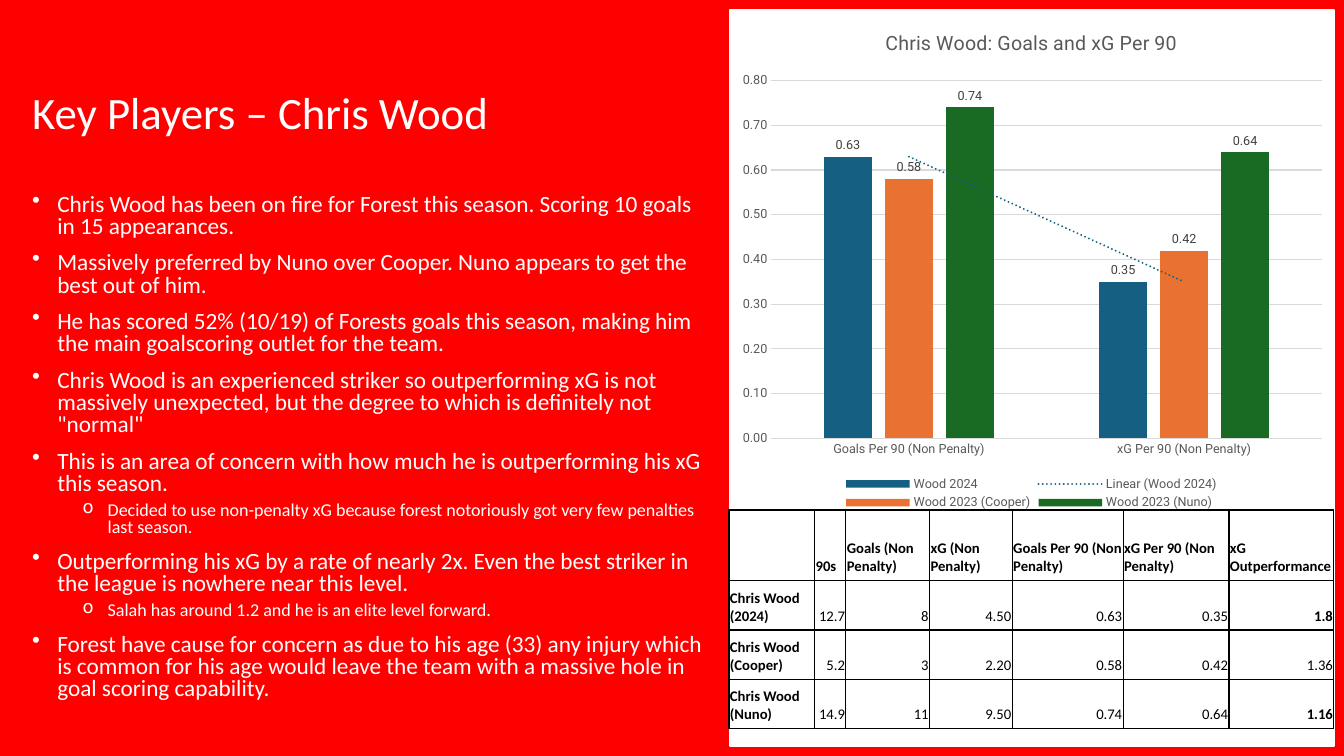
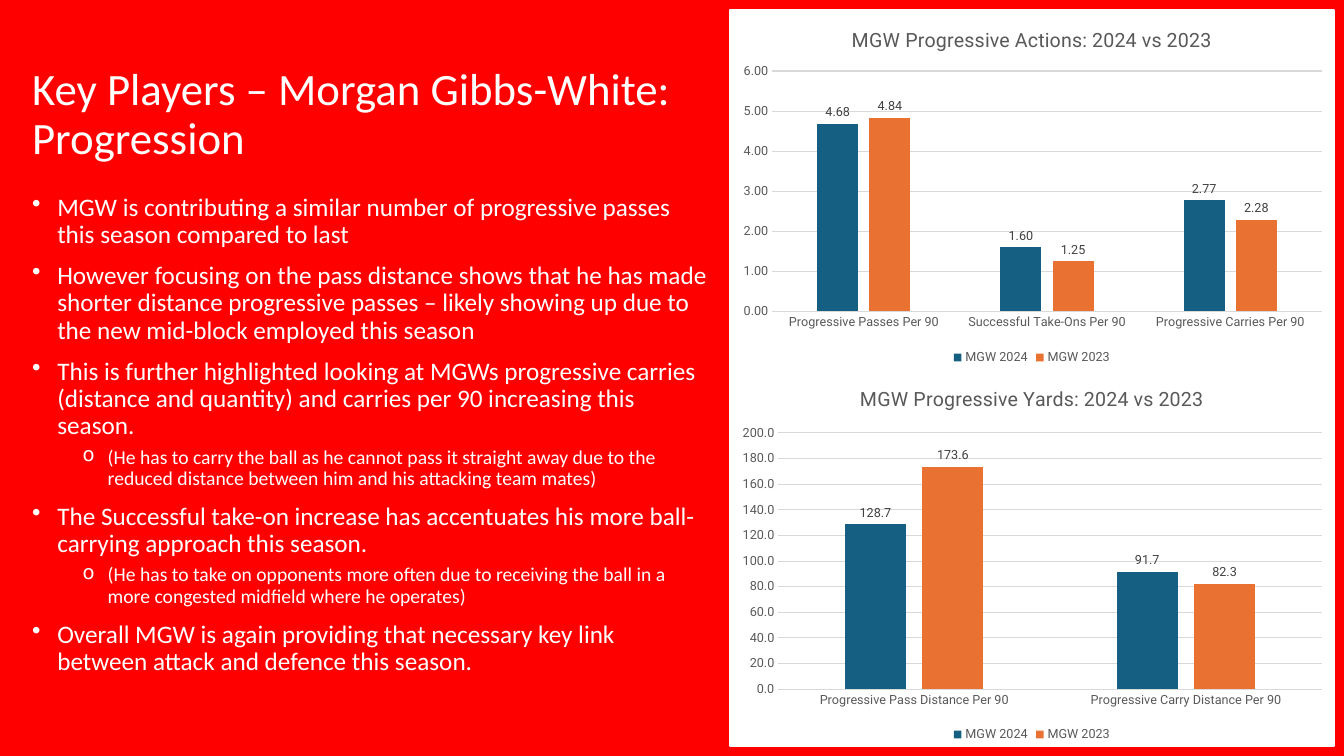
from lxml.etree import SubElement
from pptx import Presentation
from pptx.chart.data import CategoryChartData
from pptx.dml.color import RGBColor
from pptx.enum.chart import (XL_CHART_TYPE, XL_LABEL_POSITION,
                             XL_LEGEND_POSITION, XL_TICK_MARK)
from pptx.enum.shapes import MSO_SHAPE
from pptx.enum.text import MSO_ANCHOR, PP_ALIGN
from pptx.oxml import parse_xml
from pptx.oxml.ns import nsdecls, qn
from pptx.util import Emu, Pt

PX = 9144
RED = RGBColor(0xFF, 0x00, 0x00)
WHITE = RGBColor(0xFF, 0xFF, 0xFF)
BLACK = RGBColor(0x00, 0x00, 0x00)
BLUE = RGBColor(0x15, 0x60, 0x82)
ORANGE = RGBColor(0xE9, 0x71, 0x32)
GREEN = RGBColor(0x19, 0x6B, 0x24)
AXIS_GRAY = RGBColor(0x59, 0x59, 0x59)
LABEL_GRAY = RGBColor(0x40, 0x40, 0x40)
GRID_GRAY = RGBColor(0xD9, 0xD9, 0xD9)
SERIES_COLORS = (BLUE, ORANGE, GREEN)
BODY_FONT = "Calibri"
CHART_FONT = "Roboto"

WOOD_POINTS = [
    (0, "Chris Wood has been on fire for Forest this season. Scoring 10 goals in 15 appearances."),
    (0, "Massively preferred by Nuno over Cooper. Nuno appears to get the best out of him."),
    (0, "He has scored 52% (10/19) of Forests goals this season, making him the main goalscoring "
        "outlet for the team."),
    (0, "Chris Wood is an experienced striker so outperforming xG is not massively unexpected, "
        "but the degree to which is definitely not \"normal\""),
    (0, "This is an area of concern with how much he is outperforming his xG this season."),
    (1, "Decided to use non-penalty xG because forest notoriously got very few penalties last season."),
    (0, "Outperforming his xG by a rate of nearly 2x. Even the best striker in the league is "
        "nowhere near this level."),
    (1, "Salah has around 1.2 and he is an elite level forward."),
    (0, "Forest have cause for concern as due to his age (33) any injury which is common for his "
        "age would leave the team with a massive hole in goal scoring capability."),
]
MGW_POINTS = [
    (0, "MGW is contributing a similar number of progressive passes this season compared to last"),
    (0, "However focusing on the pass distance shows that he has made shorter distance progressive "
        "passes – likely showing up due to the new mid-block employed this season"),
    (0, "This is further highlighted looking at MGWs progressive carries (distance and quantity) "
        "and carries per 90 increasing this season."),
    (1, "(He has to carry the ball as he cannot pass it straight away due to the reduced distance "
        "between him and his attacking team mates)"),
    (0, "The Successful take-on increase has accentuates his more ball-carrying approach this season."),
    (1, "(He has to take on opponents more often due to receiving the ball in a more congested "
        "midfield where he operates)"),
    (0, "Overall MGW is again providing that necessary key link between attack and defence this season."),
]
WOOD_COLUMNS = (85, 31, 83, 82, 110, 105, 104)
WOOD_ROWS = (70, 49, 49, 49)
WOOD_STATS = [
    ("", "90s", "Goals (Non Penalty)", "xG (Non Penalty)", "Goals Per 90 (Non Penalty)",
     "xG Per 90 (Non Penalty)", "xG Outperformance"),
    ("Chris Wood (2024)", "12.7", "8", "4.50", "0.63", "0.35", "1.8"),
    ("Chris Wood (Cooper)", "5.2", "3", "2.20", "0.58", "0.42", "1.36"),
    ("Chris Wood (Nuno)", "14.9", "11", "9.50", "0.74", "0.64", "1.16"),
]
BOLD_RATIOS = ("1.8", "1.16")


def px(*lengths):
    """Turn pixel lengths into EMU."""
    return [Emu(length * PX) for length in lengths]


def style_font(font, size, color, face=BODY_FONT, bold=False):
    """Set the size, colour, face and weight of a font."""
    font.size, font.name, font.bold = Pt(size), face, bold
    font.color.rgb = color


def write(frame, text, size, color=WHITE, bold=False, align=PP_ALIGN.LEFT,
          spacing=None, before=0, bullet=None, level=0):
    """Add one formatted paragraph to a text frame."""
    first = frame.paragraphs[0]
    is_first = not first.runs
    paragraph = first if is_first else frame.add_paragraph()
    paragraph.alignment, paragraph.level = align, level
    if spacing:
        paragraph.line_spacing = spacing
    paragraph.space_before = Pt(0 if is_first else before)
    if bullet:
        properties = paragraph._p.get_or_add_pPr()
        margin, hanging = px(25 + 50 * level, -25)
        properties.set("marL", str(margin))
        properties.set("indent", str(hanging))
        SubElement(properties, qn("a:buChar")).set("char", bullet)
    run = paragraph.add_run()
    run.text = text
    style_font(run.font, size, color, bold=bold)


def add_text_box(slide, box, anchor=MSO_ANCHOR.TOP):
    """Add a wrapping text box and return its frame."""
    frame = slide.shapes.add_textbox(*px(*box)).text_frame
    frame.word_wrap = True
    frame.vertical_anchor = anchor
    return frame


def add_player_slide(deck, title_lines, title_width, points, sizes, spacing):
    """Add a red slide with its title, bullets and white panel."""
    slide = deck.slides.add_slide(deck.slide_layouts[6])
    slide.background.fill.solid()
    slide.background.fill.fore_color.rgb = RED
    panel = slide.shapes.add_shape(MSO_SHAPE.RECTANGLE, *px(724, 10, 599, 730))
    panel.shadow.inherit = False
    panel.fill.solid()
    panel.fill.fore_color.rgb = WHITE
    panel.line.color.rgb = WHITE
    panel.line.width = Pt(1.5)
    title = add_text_box(slide, (22, 42, title_width, 145), MSO_ANCHOR.MIDDLE)
    for line in title_lines:
        write(title, line, 32, spacing=0.9)
    body = add_text_box(slide, (22, 188, 692, 546))
    for level, point in points:
        write(body, point, sizes[level], spacing=spacing, before=(10, 5)[level],
              bullet="•o"[level], level=level)
    return slide


def place_plot(chart, plot_box):
    """Fix the inner plot area by fractions of the chart."""
    parts = "".join(f'<c:{name} val="{value}"/>' for name, value in zip("xywh", plot_box))
    layout = parse_xml(
        f'<c:layout {nsdecls("c")}><c:manualLayout><c:layoutTarget val="inner"/>'
        f'<c:xMode val="edge"/><c:yMode val="edge"/>{parts}</c:manualLayout></c:layout>')
    plot_area = chart._chartSpace.find(".//" + qn("c:plotArea"))
    for automatic in plot_area.findall(qn("c:layout")):
        plot_area.remove(automatic)
    plot_area.insert(0, layout)


def add_trend(series, color):
    """Add a dotted linear trend line to a series."""
    trend = parse_xml(
        f'<c:trendline {nsdecls("c", "a")}><c:spPr><a:ln w="{Pt(1.5)}" cap="rnd"><a:solidFill>'
        f'<a:srgbClr val="{color}"/></a:solidFill><a:prstDash val="sysDot"/></a:ln></c:spPr>'
        '<c:trendlineType val="linear"/><c:dispRSqr val="0"/><c:dispEq val="0"/></c:trendline>')
    series._element.find(qn("c:cat")).addprevious(trend)


def style_axes(chart, number_format, top, step):
    """Format both axes, the scale and the gridlines."""
    for axis in (chart.category_axis, chart.value_axis):
        axis.major_tick_mark = axis.minor_tick_mark = XL_TICK_MARK.NONE
        style_font(axis.tick_labels.font, 9, AXIS_GRAY, CHART_FONT)
    lines = (chart.category_axis.format.line, chart.value_axis.major_gridlines.format.line)
    for line in lines:
        line.color.rgb = GRID_GRAY
        line.width = Pt(0.75)
    scale = chart.value_axis
    scale.format.line.fill.background()
    scale.minimum_scale, scale.maximum_scale, scale.major_unit = 0, top, step
    scale.tick_labels.number_format = number_format
    scale.tick_labels.number_format_is_linked = False


def add_column_chart(slide, box, title, categories, values, number_format, scale, plot_box):
    """Add a labelled clustered column chart and return it."""
    data = CategoryChartData(number_format=number_format)
    data.categories = categories
    for name, numbers in values.items():
        data.add_series(name, numbers)
    chart = slide.shapes.add_chart(XL_CHART_TYPE.COLUMN_CLUSTERED, *px(*box), data).chart
    style_font(chart.font, 10, BLACK, CHART_FONT)
    heading = chart.chart_title.text_frame
    heading.text = title
    style_font(heading.paragraphs[0].runs[0].font, 14, AXIS_GRAY, CHART_FONT)
    chart.has_legend = True
    chart.legend.position = XL_LEGEND_POSITION.BOTTOM
    chart.legend.include_in_layout = False
    style_font(chart.legend.font, 9, AXIS_GRAY, CHART_FONT)
    style_axes(chart, number_format, *scale)
    columns = chart.plots[0]
    columns.gap_width, columns.overlap, columns.vary_by_categories = 219, -27, False
    for series, color in zip(columns.series, SERIES_COLORS):
        series.format.fill.solid()
        series.format.fill.fore_color.rgb = color
        labels = series.data_labels
        labels.show_value = True
        labels.position = XL_LABEL_POSITION.OUTSIDE_END
        labels.number_format = number_format
        labels.number_format_is_linked = False
        style_font(labels.font, 9, LABEL_GRAY, CHART_FONT)
    place_plot(chart, plot_box)
    return chart


def outline_cell(cell):
    """Draw a thin black border round a table cell."""
    properties = cell._tc.get_or_add_tcPr()
    for position, side in enumerate(("lnL", "lnR", "lnT", "lnB")):
        properties.insert(position, parse_xml(
            f'<a:{side} {nsdecls("a")} w="{Pt(1)}"><a:solidFill><a:srgbClr val="{BLACK}"/>'
            f'</a:solidFill></a:{side}>'))


def add_stats_table(slide, left, top, widths, heights, rows):
    """Add the bordered table of player statistics."""
    box = px(left, top, sum(widths), sum(heights))
    table = slide.shapes.add_table(len(rows), len(widths), *box).table
    table.first_row = table.horz_banding = False
    for column, width in zip(table.columns, px(*widths)):
        column.width = width
    for row, height in zip(table.rows, px(*heights)):
        row.height = height
    for r, row in enumerate(rows):
        for c, text in enumerate(row):
            cell = table.cell(r, c)
            cell.fill.background()
            cell.vertical_anchor = MSO_ANCHOR.BOTTOM
            cell.margin_left, cell.margin_top, cell.margin_right, cell.margin_bottom = px(1, 1, 1, 5)
            is_heading = r == 0 or c == 0
            write(cell.text_frame, text, 10.5, color=BLACK,
                  bold=is_heading or text in BOLD_RATIOS,
                  align=PP_ALIGN.LEFT if is_heading else PP_ALIGN.RIGHT)
            outline_cell(cell)


def main():
    """Build both player slides and save the deck."""
    deck = Presentation()
    deck.slide_width, deck.slide_height = px(1333, 750)

    wood = add_player_slide(deck, ["Key Players – Chris Wood"], 474,
                            WOOD_POINTS, (16.6, 12.9), 0.8)
    goals = add_column_chart(
        wood, (723, 10, 600, 500), "Chris Wood: Goals and xG Per 90",
        ("Goals Per 90 (Non Penalty)", "xG Per 90 (Non Penalty)"),
        {"Wood 2024": (0.63, 0.35), "Wood 2023 (Cooper)": (0.58, 0.42),
         "Wood 2023 (Nuno)": (0.74, 0.64)},
        "0.00", (0.8, 0.1), (0.07, 0.14, 0.91, 0.71))
    add_trend(goals.plots[0].series[0], BLUE)
    add_stats_table(wood, 723, 506, WOOD_COLUMNS, WOOD_ROWS, WOOD_STATS)

    mgw = add_player_slide(deck, ["Key Players – Morgan Gibbs-White:", "Progression"], 692,
                           MGW_POINTS, (18, 14), 0.9)
    add_column_chart(
        mgw, (724, 10, 599, 356), "MGW Progressive Actions: 2024 vs 2023",
        ("Progressive Passes Per 90", "Successful Take-Ons Per 90", "Progressive Carries Per 90"),
        {"MGW 2024": (4.68, 1.6, 2.77), "MGW 2023": (4.84, 1.25, 2.28)},
        "0.00", (6, 1), (0.07, 0.17, 0.91, 0.67))
    add_column_chart(
        mgw, (724, 366, 599, 374), "MGW Progressive Yards: 2024 vs 2023",
        ("Progressive Pass Distance Per 90", "Progressive Carry Distance Per 90"),
        {"MGW 2024": (128.7, 91.7), "MGW 2023": (173.6, 82.3)},
        "0.0", (200, 20), (0.08, 0.17, 0.9, 0.68))
    deck.save("out.pptx")


if __name__ == "__main__":
    main()
